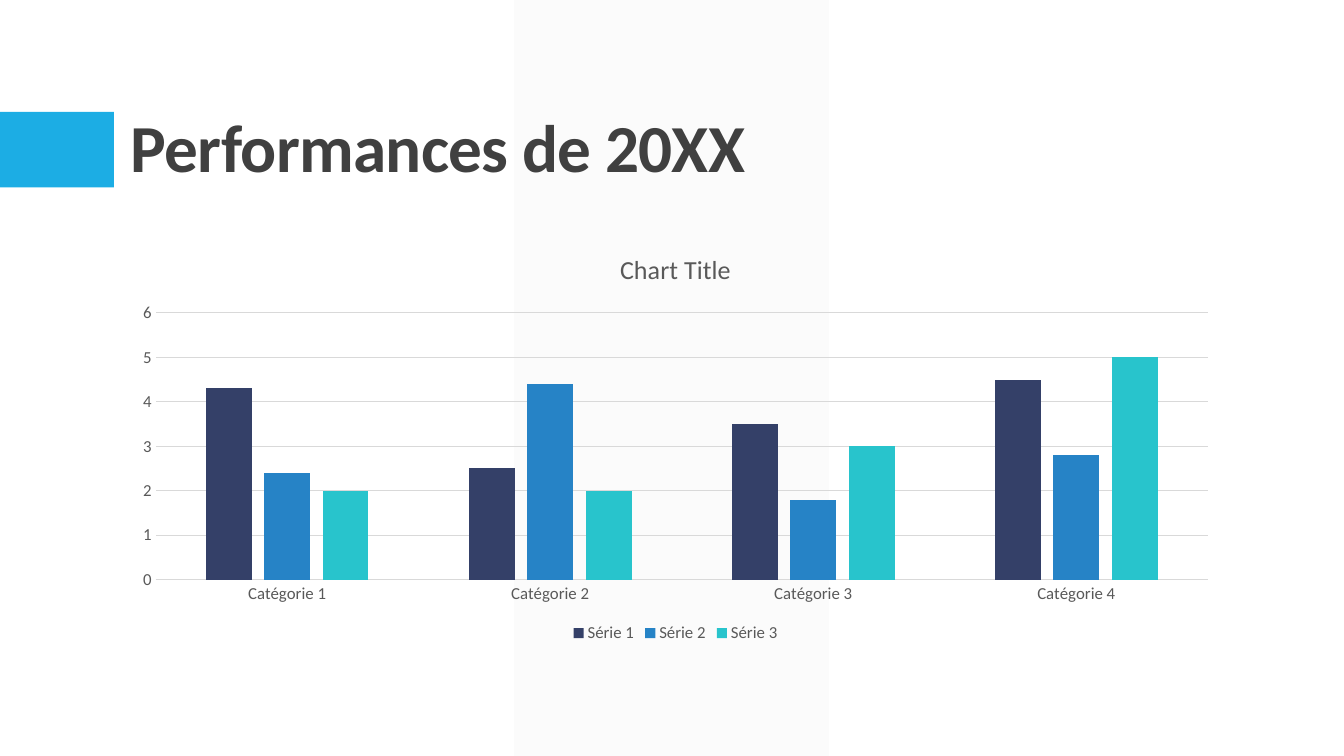
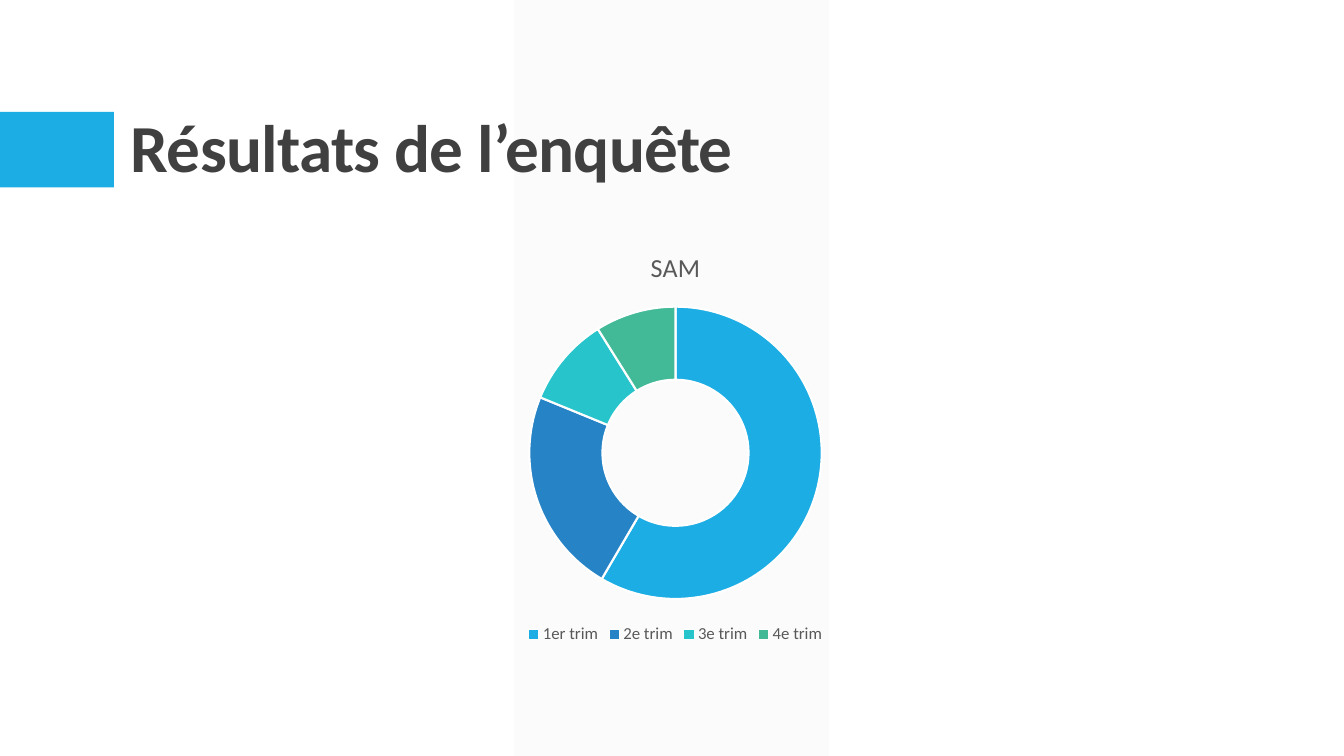
from dataclasses import dataclass

from lxml import etree
from pptx import Presentation
from pptx import util as u
from pptx.chart.data import CategoryChartData
from pptx.dml.color import RGBColor
from pptx.enum import chart as charts, shapes, text
from pptx.oxml import ns

EMU_PER_PX = 9144


@dataclass(frozen=True)
class Theme:
    font: str = "Calibri"
    heading: str = "404040"
    label: str = "595959"
    rule: str = "D9D9D9"
    band: str = "F2F2F2"
    sky: str = "1CADE4"
    navy: str = "344068"
    blue: str = "2683C6"
    teal: str = "28C4CC"
    green: str = "42BA97"
    white: str = "FFFFFF"
    heading_size: float = 48
    chart_title_size: float = 18.6
    label_size: float = 12
    rule_width: float = 0.75
    slice_border: float = 1.5


THEME = Theme()


def px(*lengths):
    return [u.Emu(length * EMU_PER_PX) for length in lengths]


def rgb(color):
    return RGBColor.from_string(color)


def style_font(font, size, color, bold=False):
    font.name = THEME.font
    font.size = u.Pt(size)
    font.bold = bold
    font.color.rgb = rgb(color)


def paint(target, color):
    target.fill.solid()
    target.fill.fore_color.rgb = rgb(color)


def style_line(line, color, width):
    line.color.rgb = rgb(color)
    line.width = u.Pt(width)


def add_block(page, kind, frame, color):
    block = page.shapes.add_shape(kind, *px(*frame))
    block.shadow.inherit = False
    paint(block, color)
    block.line.fill.background()
    return block


def set_opacity(shape, percent):
    color = shape._element.spPr.find(".//" + ns.qn("a:srgbClr"))
    etree.SubElement(color, ns.qn("a:alpha"), val=str(percent * 1000))


def add_heading(page, wording):
    box = page.shapes.add_textbox(*px(120, 31, 1100, 159))
    frame = box.text_frame
    frame.word_wrap = True
    frame.vertical_anchor = text.MSO_ANCHOR.BOTTOM
    frame.text = wording
    para = frame.paragraphs[0]
    para.line_spacing = 0.9
    span = para.runs[0]
    style_font(span.font, THEME.heading_size, THEME.heading, bold=True)
    span._r.get_or_add_rPr().set("spc", "-50")


def add_page(deck, wording):
    page = deck.slides.add_slide(deck.slide_layouts[6])
    band = add_block(page, shapes.MSO_SHAPE.PARALLELOGRAM,
                     (510, 0, 312, 750), THEME.band)
    band.adjustments[0] = 0
    set_opacity(band, 30)
    add_block(page, shapes.MSO_SHAPE.RECTANGLE, (0, 111, 113, 75), THEME.sky)
    add_heading(page, wording)
    return page


def add_chart(page, kind, frame, title, categories, series):
    data = CategoryChartData()
    data.categories = categories
    for name, values in series:
        data.add_series(name, values)
    chart = page.shapes.add_chart(kind, *px(*frame), data).chart
    style_font(chart.font, THEME.label_size, THEME.label)
    chart.has_title = True
    chart.chart_title.include_in_layout = False
    frame = chart.chart_title.text_frame
    frame.text = title
    style_font(frame.paragraphs[0].runs[0].font,
               THEME.chart_title_size, THEME.label)
    chart.has_legend = True
    chart.legend.position = charts.XL_LEGEND_POSITION.BOTTOM
    chart.legend.include_in_layout = False
    style_font(chart.legend.font, THEME.label_size, THEME.label)
    return chart


def style_axes(chart):
    for axis in (chart.category_axis, chart.value_axis):
        axis.major_tick_mark = charts.XL_TICK_MARK.NONE
        axis.minor_tick_mark = charts.XL_TICK_MARK.NONE
        style_font(axis.tick_labels.font, THEME.label_size, THEME.label)
    style_line(chart.category_axis.format.line, THEME.rule, THEME.rule_width)
    chart.value_axis.format.line.fill.background()
    chart.value_axis.has_major_gridlines = True
    style_line(chart.value_axis.major_gridlines.format.line,
               THEME.rule, THEME.rule_width)


def add_columns(page, frame, title, categories, series, colors):
    chart = add_chart(page, charts.XL_CHART_TYPE.COLUMN_CLUSTERED,
                      frame, title, categories, series)
    style_axes(chart)
    plot = chart.plots[0]
    plot.vary_by_categories = False
    plot.gap_width = 219
    plot.overlap = -27
    for columns, color in zip(plot.series, colors):
        columns.invert_if_negative = False
        paint(columns.format, color)


def add_doughnut(page, frame, title, categories, series, colors):
    chart = add_chart(page, charts.XL_CHART_TYPE.DOUGHNUT,
                      frame, title, categories, [series])
    plot = chart.plots[0]
    plot.vary_by_categories = True
    plot._element.find(ns.qn("c:holeSize")).set("val", "75")
    for index, color in enumerate(colors):
        slice_format = plot.series[0].points[index].format
        paint(slice_format, color)
        style_line(slice_format.line, THEME.white, THEME.slice_border)


def main():
    deck = Presentation()
    deck.slide_width, deck.slide_height = u.Inches(13.33), u.Inches(7.5)

    performance = add_page(deck, "Performances de 20XX")
    add_columns(
        performance, (120, 231, 1100, 411), "Chart Title",
        [f"Catégorie {number}" for number in range(1, 5)],
        [("Série 1", (4.3, 2.5, 3.5, 4.5)),
         ("Série 2", (2.4, 4.4, 1.8, 2.8)),
         ("Série 3", (2, 2, 3, 5))],
        (THEME.navy, THEME.blue, THEME.teal))

    survey = add_page(deck, "Résultats de l’enquête")
    add_doughnut(
        survey, (120, 229, 1100, 414), "SAM",
        ["1er trim", "2e trim", "3e trim", "4e trim"],
        ("Series 1", (59, 23, 10, 9)),
        (THEME.sky, THEME.blue, THEME.teal, THEME.green))

    deck.save("out.pptx")


if __name__ == "__main__":
    main()
